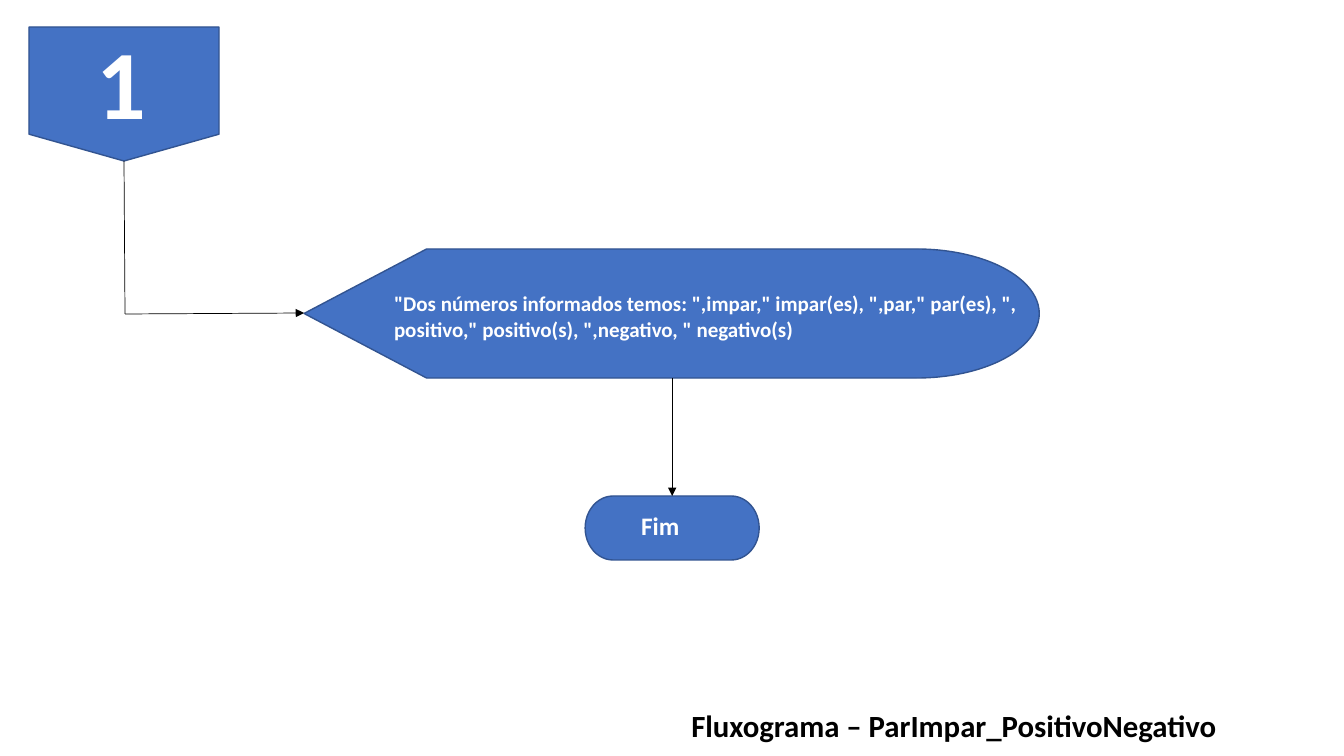
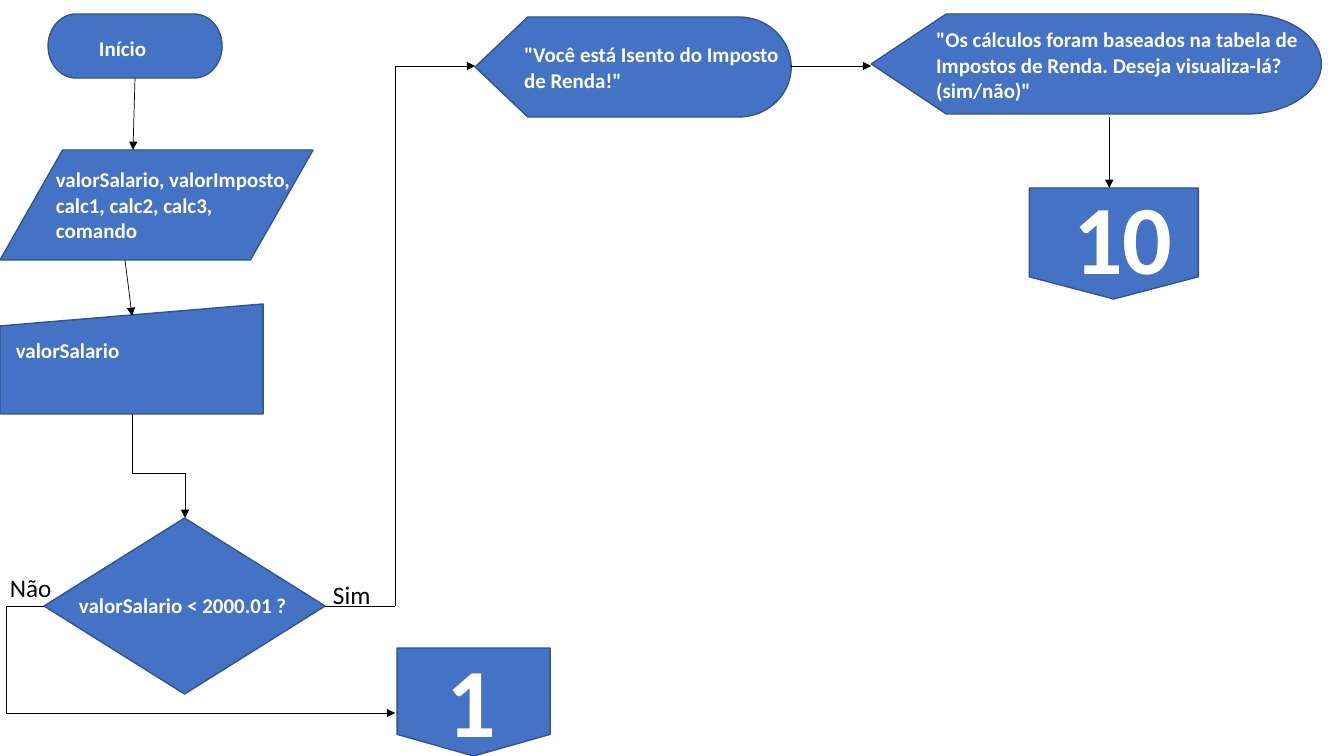
from itertools import pairwise
from pptx import Presentation, util as u
from pptx.dml.color import RGBColor
from pptx.enum import shapes, text
from pptx.oxml.ns import qn
from lxml import etree

KIND = shapes.MSO_SHAPE
PAGE = KIND.FLOWCHART_OFFPAGE_CONNECTOR
SHOW = KIND.FLOWCHART_DISPLAY
TERM = KIND.FLOWCHART_TERMINATOR
BLUE, EDGE, WHITE, BLACK = "4472C4", "325491", "FFFFFF", "000000"
BODY = {"size": 15, "bold": True, "color": WHITE}
END = BODY | {"size": 18}
BIG = BODY | {"size": 70}
NOTE = {"size": 18, "bold": False, "color": BLACK}
HEAD = {"size": 22, "bold": True, "color": BLACK}

SLIDES = [
    {
        "title": ("Fluxograma – ParImpar_PositivoNegativo", (681, 702, 596, 47)),
        "nodes": [
            (PAGE, (29, 27, 190, 134), "1", (87, 17, 153, 129), BIG),
            (SHOW, (304, 249, 735, 129),
             '"Dos números informados temos: ",impar," impar(es), ",par," par(es), ", '
             'positivo," positivo(s), ",negativo, " negativo(s)',
             (384, 286, 655, 61), BODY),
            (TERM, (585, 496, 174, 64), "Fim", (631, 505, 82, 40), END),
        ],
        "notes": [],
        "paths": [
            ([(124, 161), (125, 314), (304, 313)], True),
            ([(672, 378), (672, 496)], True),
        ],
    },
    {
        "title": None,
        "nodes": [
            (TERM, (48, 14, 174, 64), "Início", (89, 31, 116, 35), BODY),
            (KIND.FLOWCHART_DATA, (0, 150, 313, 110),
             "valorSalario, valorImposto, calc1, calc2, calc3, \ncomando",
             (46, 162, 282, 87), BODY),
            (KIND.FLOWCHART_MANUAL_INPUT, (0, 304, 263, 110),
             "valorSalario", (6, 333, 282, 35), BODY),
            (KIND.DIAMOND, (44, 518, 281, 176),
             "valorSalario < 2000.01 ?", (69, 588, 282, 35), BODY),
            (SHOW, (475, 17, 316, 100),
             '"Você está Isento do Imposto de Renda!"', (514, 37, 282, 61), BODY),
            (SHOW, (871, 14, 450, 100),
             '"Os cálculos foram baseados na tabela de Impostos de Renda. '
             'Deseja visualiza-lá? (sim/não)"', (926, 22, 417, 87), BODY),
            (PAGE, (397, 648, 153, 108), "1", (436, 635, 156, 129), BIG),
            (PAGE, (1029, 188, 169, 111), "10", (1063, 172, 156, 129), BIG),
        ],
        "notes": [
            ("Não", (0, 567, 152, 40)),
            ("Sim", (323, 574, 152, 40)),
        ],
        "paths": [
            ([(135, 78), (133, 150)], True),
            ([(125, 260), (132, 316)], True),
            ([(132, 414), (132, 473), (185, 473), (185, 518)], True),
            ([(44, 606), (6, 606), (6, 713), (395, 713)], True),
            ([(325, 606), (395, 606), (395, 66), (475, 66)], True),
            ([(791, 66), (871, 66)], True),
            ([(1109, 117), (1109, 188)], True),
        ],
    },
]


def px(*vals):
    return [u.Inches(v / 100.8) for v in vals]


def rgb(code):
    return RGBColor.from_string(code)


def write(box, words, style):
    frame = box.text_frame
    frame.text = words
    rules = {"word_wrap": True, "auto_size": text.MSO_AUTO_SIZE.NONE,
             "vertical_anchor": text.MSO_ANCHOR.TOP}
    for key, val in rules.items():
        setattr(frame, key, val)
    marks = {"name": "Calibri", "size": u.Pt(style["size"]), "bold": style["bold"]}
    for para in frame.paragraphs:
        para.alignment = text.PP_ALIGN.LEFT
        for run in para.runs:
            for key, val in marks.items():
                setattr(run.font, key, val)
            run.font.color.rgb = rgb(style["color"])


def label(slide, words, area, style):
    write(slide.shapes.add_textbox(*px(*area)), words, style)


def node(slide, kind, area, words, place, style):
    shape = slide.shapes.add_shape(kind, *px(*area))
    shape.shadow.inherit = False
    shape.fill.solid()
    shape.fill.fore_color.rgb = rgb(BLUE)
    shape.line.color.rgb = rgb(EDGE)
    shape.line.width = u.Pt(1)
    label(slide, words, place, style)


def route(slide, points, arrow):
    for start, stop in pairwise(points):
        link = slide.shapes.add_connector(
            shapes.MSO_CONNECTOR.STRAIGHT, *px(*start, *stop))
        link.line.color.rgb = rgb(BLACK)
        link.line.width = u.Pt(0.5)
        props = link._element.spPr
        etree.SubElement(props, qn("a:effectLst"))
        if arrow and stop == points[-1]:
            etree.SubElement(props.find(qn("a:ln")), qn("a:tailEnd"), type="triangle")


deck = Presentation()
deck.slide_width, deck.slide_height = u.Inches(13.33), u.Inches(7.5)
for page in SLIDES:
    title = page["title"]
    slide = deck.slides.add_slide(deck.slide_layouts[5 if title else 6])
    for item in page["nodes"]:
        node(slide, *item)
    for words, area in page["notes"]:
        label(slide, words, area, NOTE)
    for points, arrow in page["paths"]:
        route(slide, points, arrow)
    if title:
        words, area = title
        box = slide.shapes.title
        for key, val in zip(("left", "top", "width", "height"), px(*area)):
            setattr(box, key, val)
        write(box, words, HEAD)
deck.save("out.pptx")
